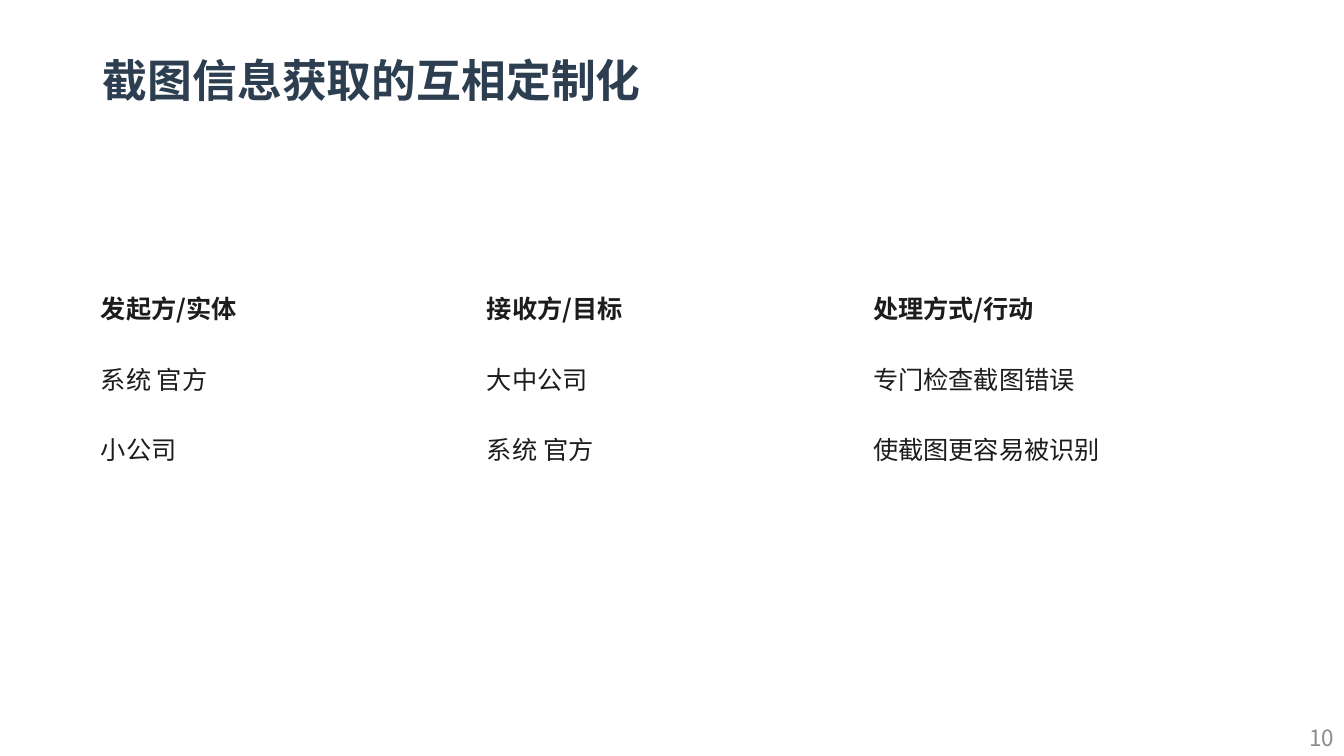
from pptx import Presentation, util as u
from pptx.dml.color import RGBColor
from pptx.enum import text
from pptx.oxml.ns import qn
from lxml import etree

theme = dict(
    face="Noto Sans CJK SC",
    title=dict(size=32, color="2C3E50", bold=True),
    head=dict(size=18, color="1B1C1D", bold=True),
    body=dict(size=18, color="1B1C1D", bold=False),
    page=dict(size=16, color="8C8C8C", bold=False),
    paper="FFFFFF",
    rule=0.5,
)


def write(frame, words, role, align=text.PP_ALIGN.LEFT):
    look = theme[role]
    para = frame.paragraphs[0]
    para.alignment = align
    run = para.add_run()
    run.text = words
    font = run.font
    form = dict(name=theme["face"], size=u.Pt(look["size"]), bold=look["bold"])
    for key, value in form.items():
        setattr(font, key, value)
    font.color.rgb = RGBColor.from_string(look["color"])
    etree.SubElement(run._r.get_or_add_rPr(), qn("a:ea"), typeface=theme["face"])
    return para


def edge(cell):
    props = cell._tc.get_or_add_tcPr()
    for side in ("lnL", "lnR", "lnT", "lnB"):
        line = etree.SubElement(props, qn("a:" + side), w=str(u.Pt(theme["rule"])))
        fill = etree.SubElement(line, qn("a:solidFill"))
        etree.SubElement(fill, qn("a:srgbClr"), val=theme["paper"])


deck = Presentation()
deck.slide_width, deck.slide_height = u.Inches(13.33), u.Inches(7.5)
slide = deck.slides.add_slide(deck.slide_layouts[5])
left = u.Inches(0.92)

title = slide.shapes.title
place = dict(left=left, top=u.Inches(0.53), width=u.Inches(12.29), height=u.Inches(0.77))
for key, value in place.items():
    setattr(title, key, value)
frame = title.text_frame
frame.vertical_anchor = text.MSO_ANCHOR.TOP
frame.auto_size = text.MSO_AUTO_SIZE.NONE
write(frame, "截图信息获取的互相定制化", "title").line_spacing = 0.9

wide, high = u.Inches(0.47), u.Inches(0.37)
page = slide.shapes.add_textbox(
    deck.slide_width - wide, deck.slide_height - high, wide, high
).text_frame
page.word_wrap = False
page.auto_size = text.MSO_AUTO_SIZE.SHAPE_TO_FIT_TEXT
page.vertical_anchor = text.MSO_ANCHOR.MIDDLE
write(page, "10", "page", text.PP_ALIGN.RIGHT)

rows = [
    ("发起方/实体", "接收方/目标", "处理方式/行动"),
    ("系统 官方", "大中公司", "专门检查截图错误"),
    ("小公司", "系统 官方", "使截图更容易被识别"),
]
col, row = u.Inches(3.83), u.Inches(0.7)
table = slide.shapes.add_table(
    len(rows), len(rows[0]), left, u.Inches(2.7), col * len(rows[0]), row * len(rows)
).table
table.first_row = table.horz_banding = False
pad = dict(
    margin_left=u.Inches(0.08),
    margin_right=u.Inches(0.08),
    margin_top=u.Inches(0.06),
    margin_bottom=u.Inches(0.06),
    vertical_anchor=text.MSO_ANCHOR.MIDDLE,
)
for r, line in enumerate(rows):
    for c, words in enumerate(line):
        cell = table.cell(r, c)
        for key, value in pad.items():
            setattr(cell, key, value)
        edge(cell)
        cell.fill.background()
        write(cell.text_frame, words, "body" if r else "head")

deck.save("out.pptx")
